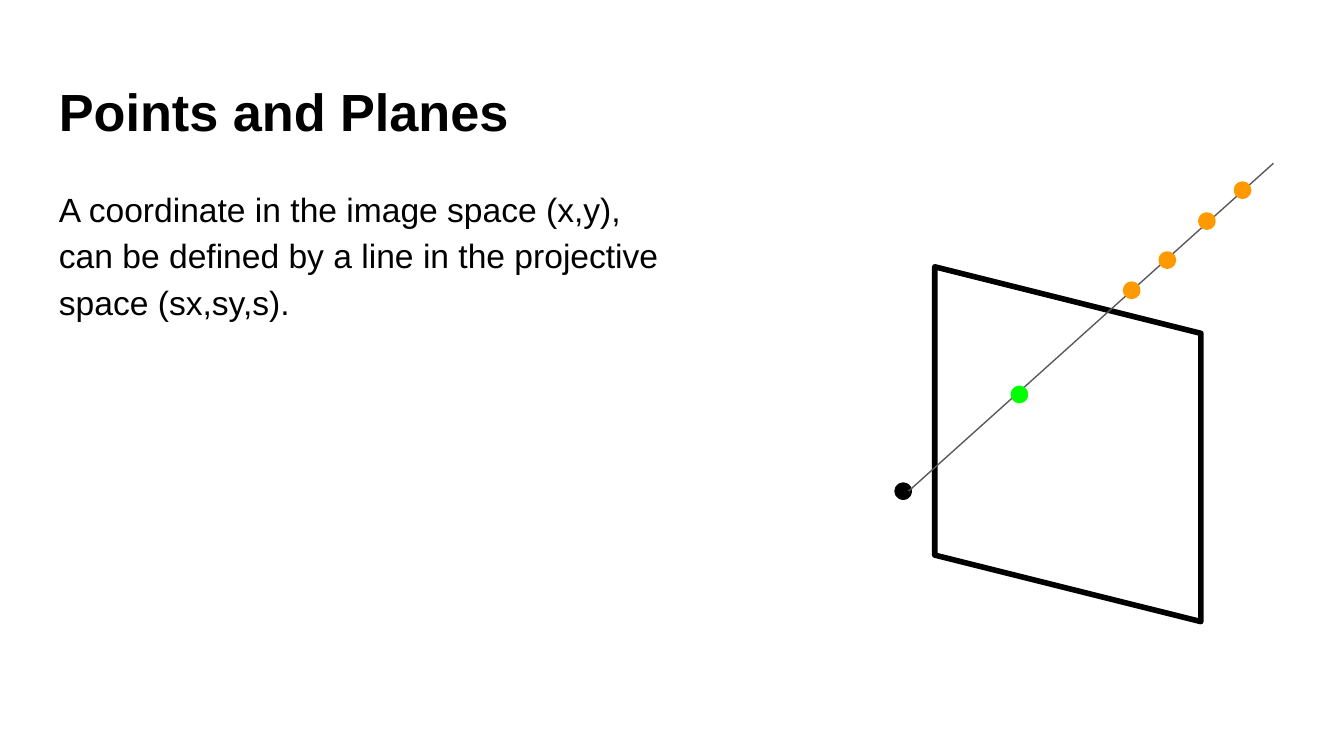
from dataclasses import dataclass

from pptx import Presentation
from pptx.dml.color import RGBColor
from pptx.enum.shapes import MSO_CONNECTOR, MSO_SHAPE
from pptx.enum.text import MSO_ANCHOR
from pptx.oxml.ns import qn
from pptx.slide import Slide
from pptx.util import Emu, Pt

PX = 4572  # 200 px to the inch
ELLIPSE = MSO_SHAPE.OVAL
PARALLELOGRAM = MSO_SHAPE.PARALLELOGRAM
STRAIGHT = MSO_CONNECTOR.STRAIGHT
TOP = MSO_ANCHOR.TOP

FONT = "Arial"
BLACK, GRAY, GREEN, ORANGE = "000000", "595959", "00FF00", "FF9900"
DOT_SIZE = 18
TEXT_INSET = 20


@dataclass
class TextBlock:
    left: int
    top: int
    width: int
    height: int
    text: str
    size: int
    bold: bool
    spacing: float


@dataclass
class Dot:
    left: int
    top: int
    color: str


TEXT_BLOCKS = [
    TextBlock(68, 98, 1864, 126, "Points and Planes", 28, True, 1.0),
    TextBlock(68, 252, 936, 848,
              "A coordinate in the image space (x,y), can be defined by a line "
              "in the projective space (sx,sy,s).", 18, False, 1.15),
]
CAMERA = Dot(1335, 722, BLACK)
POINTS = [
    Dot(1508, 578, GREEN),
    Dot(1675, 423, ORANGE),
    Dot(1787, 320, ORANGE),
    Dot(1728, 378, ORANGE),
    Dot(1840, 274, ORANGE),
]


def px(length: int) -> Emu:
    return Emu(length * PX)


def rgb(color: str) -> RGBColor:
    return RGBColor.from_string(color)


def draw_text(page: Slide, block: TextBlock) -> None:
    box = page.shapes.add_textbox(px(block.left), px(block.top),
                                  px(block.width), px(block.height))
    frame = box.text_frame
    frame.word_wrap = True
    frame.vertical_anchor = TOP
    frame.margin_left = frame.margin_right = px(TEXT_INSET)
    frame.margin_top = frame.margin_bottom = px(TEXT_INSET)
    para = frame.paragraphs[0]
    para.text = block.text
    para.line_spacing = block.spacing
    para.font.name = FONT
    para.font.size = Pt(block.size)
    para.font.bold = block.bold
    para.font.color.rgb = rgb(BLACK)


def draw_dot(page: Slide, dot: Dot) -> None:
    shape = page.shapes.add_shape(ELLIPSE, px(dot.left), px(dot.top),
                                  px(DOT_SIZE), px(DOT_SIZE))
    shape.shadow.inherit = False
    shape.fill.solid()
    shape.fill.fore_color.rgb = rgb(dot.color)
    shape.line.color.rgb = rgb(dot.color)
    shape.line.width = Pt(3)


def draw_image_plane(page: Slide) -> None:
    plane = page.shapes.add_shape(PARALLELOGRAM, px(1325), px(463), px(528), px(396))
    plane.rotation = 270
    plane.adjustments[0] = 0.25
    plane.shadow.inherit = False
    plane.fill.background()
    plane.line.color.rgb = rgb(BLACK)
    plane.line.width = Pt(3)


def draw_ray(page: Slide) -> None:
    ray = page.shapes.add_connector(STRAIGHT, px(1352), px(731), px(1895), px(243))
    ray.line.color.rgb = rgb(GRAY)
    ray.line.width = Pt(0.75)
    properties = ray._element.spPr
    properties.append(properties.makeelement(qn("a:effectLst"), {}))


def main() -> None:
    deck = Presentation()
    deck.slide_width, deck.slide_height = px(2000), px(1125)
    page = deck.slides.add_slide(deck.slide_layouts[6])

    # Title and explanation
    for block in TEXT_BLOCKS:
        draw_text(page, block)

    # Projection: image plane, camera, ray and the points along it
    draw_image_plane(page)
    draw_dot(page, CAMERA)
    draw_ray(page)
    for point in POINTS:
        draw_dot(page, point)

    deck.save("out.pptx")


if __name__ == "__main__":
    main()
